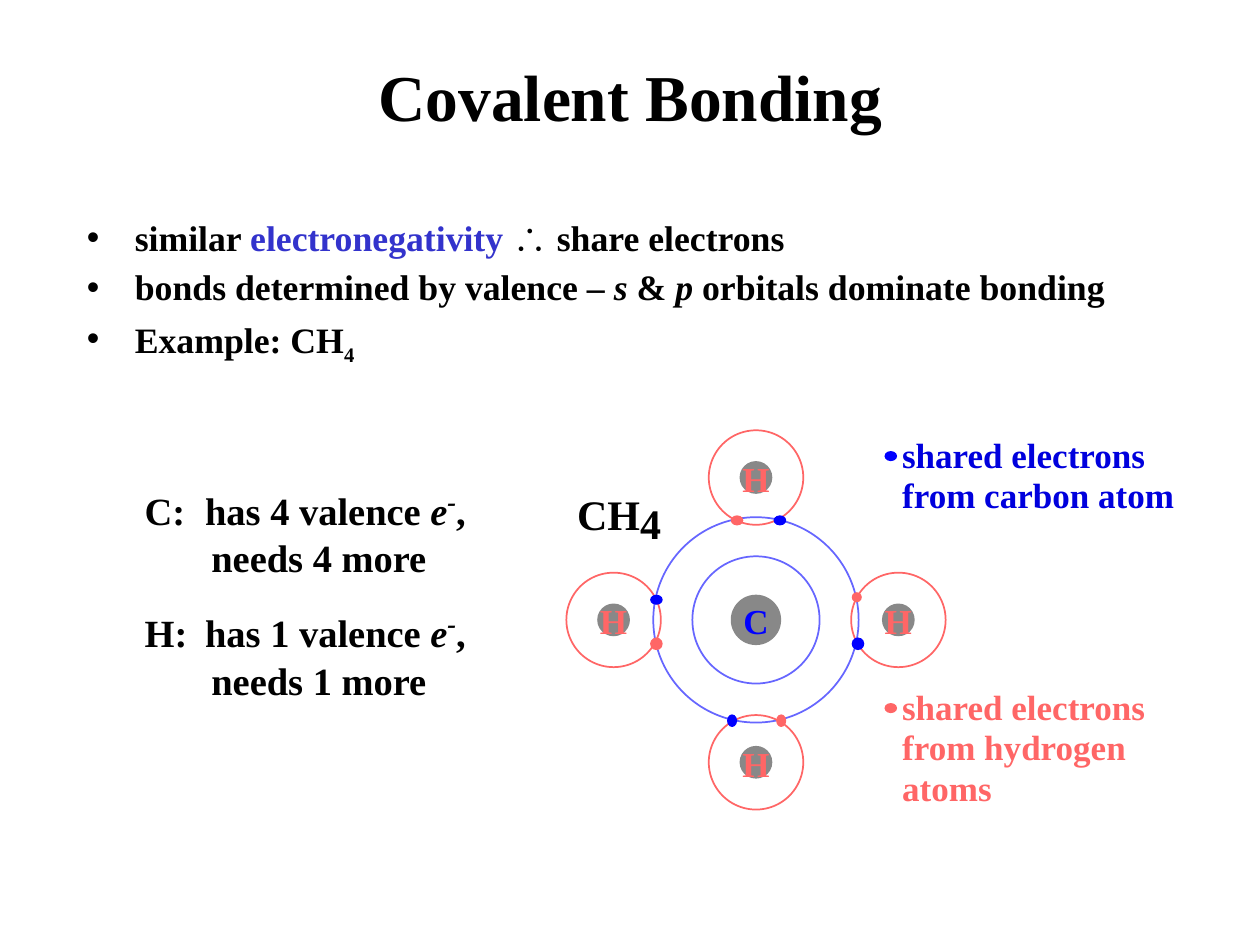
from dataclasses import dataclass

from lxml.etree import SubElement
from pptx import Presentation
from pptx.dml.color import RGBColor
from pptx.enum.shapes import MSO_SHAPE as Shape
from pptx.enum.text import MSO_ANCHOR as Anchor, MSO_AUTO_SIZE as AutoSize, PP_ALIGN as Align
from pptx.oxml.ns import qn
from pptx.util import Pt

SCALE = 9144  # EMU in one px, 100 px to the inch


@dataclass(frozen=True)
class Theme:
    font: str = "Times New Roman"
    symbol_font: str = "Arial"
    black: str = "000000"
    accent: str = "3333CC"
    carbon: str = "0000FF"
    carbon_text: str = "0000DD"
    carbon_shell: str = "6666FF"
    hydrogen: str = "FF6666"
    nucleus: str = "888888"
    title: float = 37.4
    body: float = 20.4
    note: int = 22
    charge: int = 26
    label: int = 20
    formula: int = 24


THEME = Theme()


def emu(*lengths):
    return [round(length * SCALE) for length in lengths]


def add_span(para, text, size, color=THEME.black, font=THEME.font, italic=False, baseline=0):
    """Add a bold run; baseline is the rise in percent of the type size."""
    span = para.add_run()
    span.text = text
    span.font.name = font
    span.font.size = Pt(size)
    span.font.bold = True
    span.font.italic = italic
    span.font.color.rgb = RGBColor.from_string(color)
    if baseline:
        span.font._element.set("baseline", str(baseline * 1000))


def place(shape, box):
    shape.left, shape.top, shape.width, shape.height = emu(*box)


def add_label(page, box, text, size, color, align=Align.LEFT):
    frame = page.shapes.add_textbox(*emu(*box)).text_frame
    frame.word_wrap = False
    frame.margin_left = frame.margin_right = frame.margin_top = frame.margin_bottom = 0
    para = frame.paragraphs[0]
    para.alignment = align
    add_span(para, text, size, color)


def add_oval(page, center, size, fill=None, line=None):
    (x, y), (width, height) = center, size
    box = emu(x - width / 2, y - height / 2, width, height)
    oval = page.shapes.add_shape(Shape.OVAL, *box)
    oval.shadow.inherit = False
    if fill:
        oval.fill.solid()
        oval.fill.fore_color.rgb = RGBColor.from_string(fill)
    else:
        oval.fill.background()
    if line:
        oval.line.color.rgb = RGBColor.from_string(line)
        oval.line.width = Pt(1)
    else:
        oval.line.fill.background()


def add_title(page, box):
    title = page.shapes.title
    place(title, box)
    frame = title.text_frame
    frame.auto_size = AutoSize.NONE
    frame.vertical_anchor = Anchor.MIDDLE
    para = frame.paragraphs[0]
    para.alignment = Align.CENTER
    para.line_spacing = 0.9
    add_span(para, "Covalent Bonding", THEME.title)


def add_bullets(page, box):
    body = page.placeholders[1]
    place(body, box)
    frame = body.text_frame
    frame.auto_size = AutoSize.NONE
    frame.vertical_anchor = Anchor.TOP
    items = [
        [("similar ", {}), ("electronegativity ", {"color": THEME.accent}),
         ("∴", {"font": THEME.symbol_font}), (" share electrons", {})],
        [("bonds determined by valence – ", {}), ("s", {"italic": True}), (" & ", {}),
         ("p", {"italic": True}), (" orbitals dominate bonding", {})],
        [("Example: CH", {}), ("4", {"baseline": -25})],
    ]
    indent, = emu(38)
    for index, spans in enumerate(items):
        para = frame.add_paragraph() if index else frame.paragraphs[0]
        properties = para._p.get_or_add_pPr()
        properties.set("marL", str(indent))
        properties.set("indent", str(-indent))
        color = SubElement(properties, qn("a:buClr"))
        SubElement(color, qn("a:srgbClr"), val=THEME.black)
        SubElement(properties, qn("a:buChar"), char="•")
        para.line_spacing = 0.9
        para.space_before = Pt(6 if index else 0)
        for text, style in spans:
            add_span(para, text, THEME.body, **style)


def add_valence_note(page, box, symbol, count):
    frame = page.shapes.add_textbox(*emu(*box)).text_frame
    frame.word_wrap = False
    tab, indent = emu(48, 53)
    first, second = frame.paragraphs[0], frame.add_paragraph()
    tabs = SubElement(first._p.get_or_add_pPr(), qn("a:tabLst"))
    SubElement(tabs, qn("a:tab"), pos=str(tab), algn="l")
    add_span(first, f"{symbol}:\thas {count} valence ", THEME.note)
    add_span(first, "e", THEME.note, italic=True)
    add_span(first, "-", THEME.charge, italic=True, baseline=30)
    add_span(first, ",", THEME.note)
    second._p.get_or_add_pPr().set("marL", str(indent))
    add_span(second, f"needs {count} more", THEME.note)


def add_legend(page, left, top, lines, dot_color, text_color):
    """Place an electron dot and its caption, one box for each (text, width) line."""
    add_oval(page, (left + 5, top + 18), (10, 8), fill=dot_color)
    for row, (text, width) in enumerate(lines):
        add_label(page, (left + 14, top + 32 * row, width, 33), text, THEME.label, text_color)


def add_atom(page, center, nucleus, shells, line):
    add_oval(page, center, (nucleus, nucleus), fill=THEME.nucleus)
    for shell in shells:
        add_oval(page, center, (shell, shell), line=line)


def add_symbol(page, center, text, width, color):
    x, y = center
    box = (x - width / 2, y - 16, width, 33)
    add_label(page, box, text, THEME.label, color, Align.CENTER)


def add_methane(page, center, reach):
    """Draw carbon at the center and four hydrogens at the given reach from it."""
    x, y = center
    hydrogens = [(x + dx * reach, y + dy * reach)
                 for dx, dy in ((0, -1), (0, 1), (1, 0), (-1, 0))]
    add_atom(page, center, 40, (101, 163), THEME.carbon_shell)
    for hydrogen in hydrogens:
        add_atom(page, hydrogen, 26, (75,), THEME.hydrogen)

    electrons = {  # offset from carbon, then width and height
        THEME.carbon: [(-19, 80, 8, 10), (81, 19, 10, 10), (19, -79, 10, 8), (-79, -16, 10, 8)],
        THEME.hydrogen: [(20, 80, 8, 10), (80, -18, 8, 8), (-15, -79, 10, 8), (-79, 19, 10, 10)],
    }
    for color, dots in electrons.items():
        for dx, dy, width, height in dots:
            add_oval(page, (x + dx, y + dy), (width, height), fill=color)

    for hydrogen in hydrogens:
        add_symbol(page, hydrogen, "H", 24, THEME.hydrogen)
    add_symbol(page, center, "C", 22, THEME.carbon)


def add_formula(page, left, top):
    add_label(page, (left, top, 50, 40), "CH", THEME.formula, THEME.black)
    add_label(page, (left + 50, top + 7, 18, 40), "4", THEME.formula, THEME.black)


def main():
    deck = Presentation()
    deck.slide_width, deck.slide_height = emu(1000, 750)
    page = deck.slides.add_slide(deck.slide_layouts[1])
    add_title(page, (42, 42, 917, 75))
    add_bullets(page, (59, 170, 850, 157))
    add_valence_note(page, (105, 376, 284, 90), "C", 4)
    add_valence_note(page, (105, 473, 284, 90), "H", 1)
    add_methane(page, (600, 492), 113)
    add_formula(page, 458, 388)
    add_legend(page, 702, 344, [("shared electrons", 204), ("from carbon atom", 219)],
               THEME.carbon, THEME.carbon_text)
    add_legend(page, 702, 544,
               [("shared electrons", 204), ("from hydrogen", 189), ("atoms", 76)],
               THEME.hydrogen, THEME.hydrogen)
    deck.save("out.pptx")


if __name__ == "__main__":
    main()
